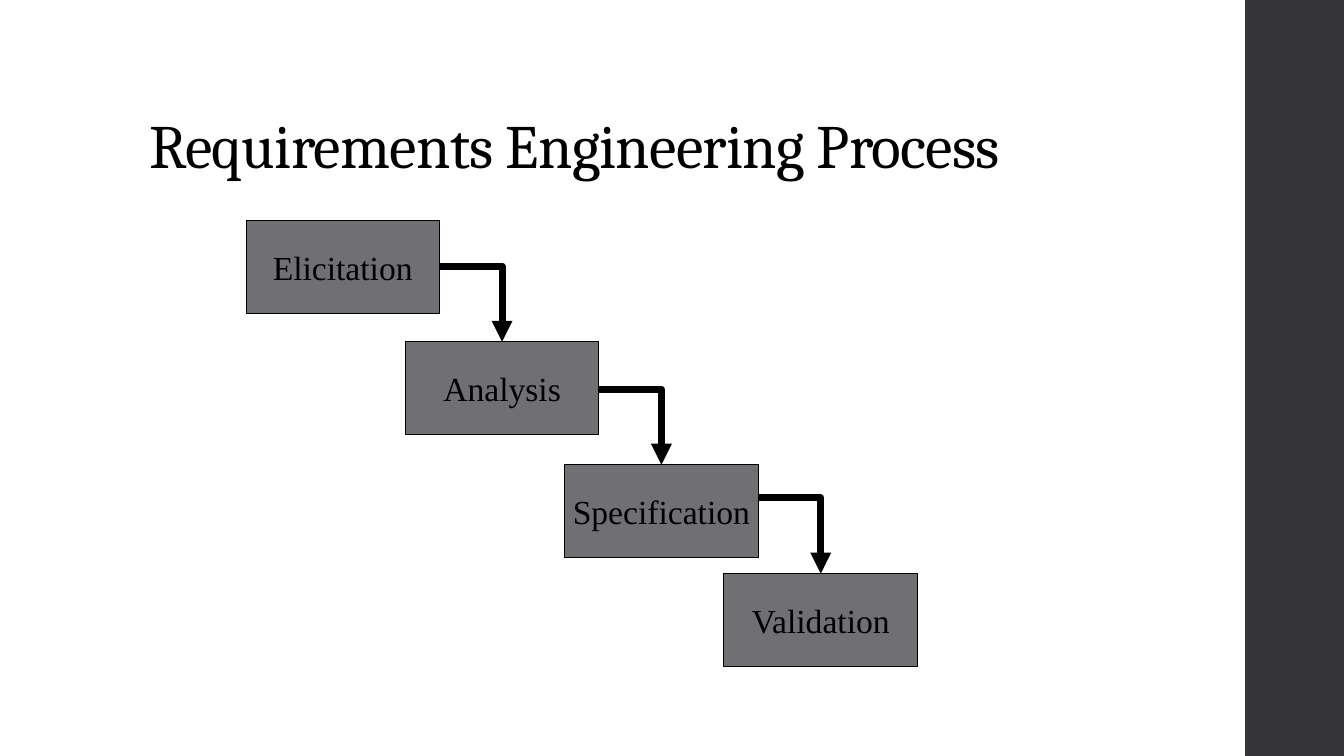
from dataclasses import dataclass
from itertools import pairwise

from lxml import etree
from pptx import Presentation
from pptx.dml.color import RGBColor
from pptx.enum.shapes import MSO_CONNECTOR, MSO_SHAPE
from pptx.enum.text import MSO_ANCHOR, MSO_AUTO_SIZE, PP_ALIGN
from pptx.oxml.ns import qn
from pptx.util import Inches, Pt

RECT = MSO_SHAPE.RECTANGLE
ELBOW = MSO_CONNECTOR.ELBOW
MIDDLE, BOTTOM = MSO_ANCHOR.MIDDLE, MSO_ANCHOR.BOTTOM
LEFT, CENTER = PP_ALIGN.LEFT, PP_ALIGN.CENTER
NO_FIT = MSO_AUTO_SIZE.NONE


@dataclass(frozen=True)
class Theme:
    ink: RGBColor = RGBColor(0, 0, 0)
    bar: RGBColor = RGBColor(0x35, 0x35, 0x37)
    box: RGBColor = RGBColor(0x6F, 0x6F, 0x74)
    title_font: str = "Cambria"
    body_font: str = "Times New Roman"
    title_size: Pt = Pt(44)
    body_size: Pt = Pt(24)
    outline: Pt = Pt(0.75)
    arrow: Pt = Pt(5)


THEME = Theme()
SLIDE_W, SLIDE_H = Inches(13.33), Inches(7.5)
BAR_LEFT, BAR_W = Inches(12.35), Inches(1)
BOX_W, BOX_H = Inches(1.92), Inches(0.92)
FIRST_LEFT, STEP = Inches(2.44), Inches(1.58)
ARROW_DROP = Inches(0.75)
STAGES = [("Elicitation", 2.19), ("Analysis", 3.39),
          ("Specification", 4.61), ("Validation", 5.69)]


def set_font(p, name, size):
    p.font.name = name
    p.font.size = size
    p.font.color.rgb = THEME.ink


def set_title(slide, text):
    sp = slide.shapes.title
    sp.left, sp.top = Inches(1.38), Inches(0.4)
    sp.width, sp.height = Inches(10.6), Inches(1.45)
    tf = sp.text_frame
    tf.text = text
    tf.auto_size = NO_FIT
    tf.vertical_anchor = BOTTOM
    p = tf.paragraphs[0]
    p.alignment = LEFT
    p.line_spacing = 0.9
    set_font(p, THEME.title_font, THEME.title_size)
    p.runs[0]._r.get_or_add_rPr().set("spc", "-50")


def add_rect(slide, left, top, width, height, fill):
    sp = slide.shapes.add_shape(RECT, left, top, width, height)
    sp.shadow.inherit = False
    sp.fill.solid()
    sp.fill.fore_color.rgb = fill
    sp.line.fill.background()
    return sp


def add_stage(slide, text, left, top):
    sp = add_rect(slide, left, top, BOX_W, BOX_H, THEME.box)
    sp.line.color.rgb = THEME.ink
    sp.line.width = THEME.outline
    tf = sp.text_frame
    tf.text = text
    tf.word_wrap = False
    tf.vertical_anchor = MIDDLE
    p = tf.paragraphs[0]
    p.alignment = CENTER
    set_font(p, THEME.body_font, THEME.body_size)
    return sp


def add_arrow(slide, source, target):
    c = slide.shapes.add_connector(
        ELBOW, source.left + source.width, target.top - ARROW_DROP,
        target.left + target.width // 2, target.top)
    c.line.color.rgb = THEME.ink
    c.line.width = THEME.arrow
    etree.SubElement(c.line._get_or_add_ln(), qn("a:tailEnd"), type="triangle")
    props = c._element.spPr
    props.find(qn("a:prstGeom")).set("prst", "bentConnector2")
    etree.SubElement(props, qn("a:effectLst"))


def main():
    prs = Presentation()
    prs.slide_width, prs.slide_height = SLIDE_W, SLIDE_H
    slide = prs.slides.add_slide(prs.slide_layouts[5])
    add_rect(slide, BAR_LEFT, 0, BAR_W, SLIDE_H, THEME.bar)
    set_title(slide, "Requirements Engineering Process")
    boxes = [add_stage(slide, text, FIRST_LEFT + i * STEP, Inches(top))
             for i, (text, top) in enumerate(STAGES)]
    for source, target in pairwise(boxes):
        add_arrow(slide, source, target)
    prs.save("out.pptx")


main()
